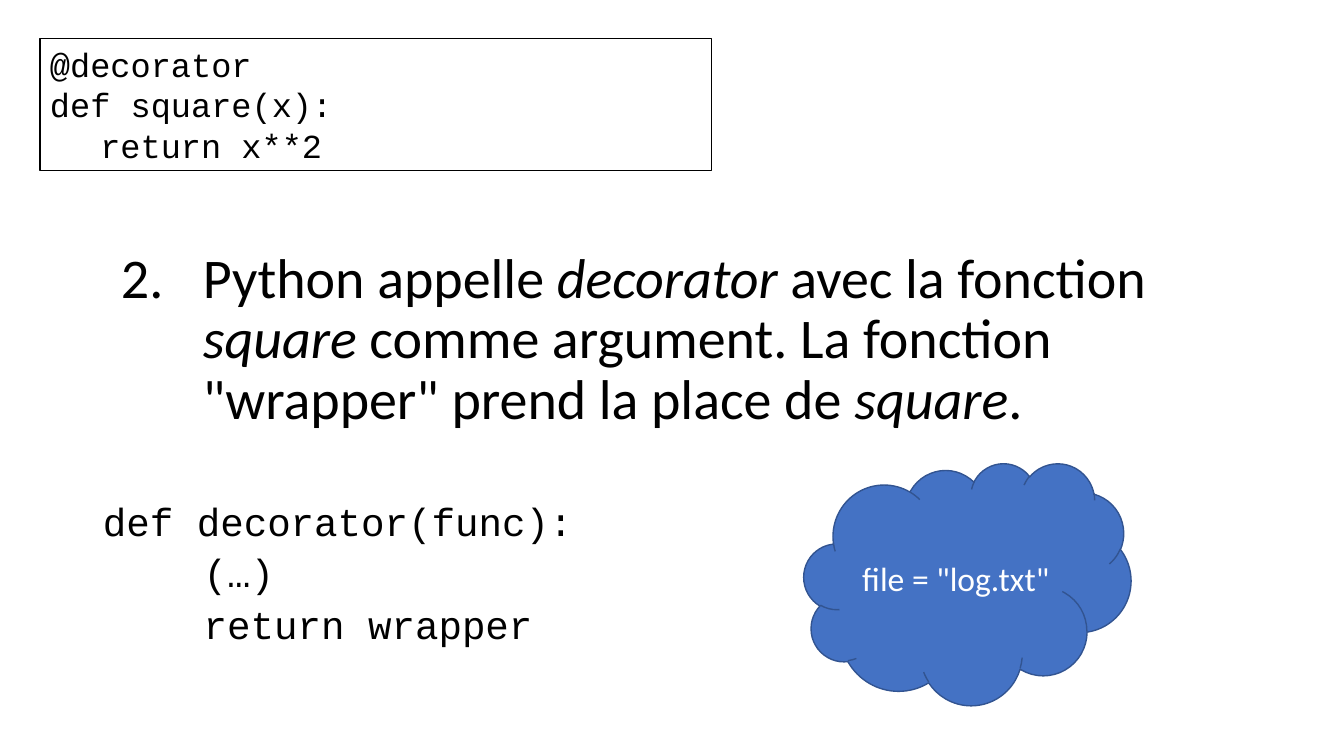
"""Builds the slide explaining how Python calls a decorator."""
from lxml import etree
from pptx import Presentation
from pptx.dml.color import RGBColor
from pptx.enum.shapes import MSO_SHAPE
from pptx.enum.text import MSO_ANCHOR, PP_ALIGN
from pptx.oxml.ns import qn
from pptx.util import Pt

RECTANGLE, CLOUD = MSO_SHAPE.RECTANGLE, MSO_SHAPE.CLOUD
TOP, MIDDLE = MSO_ANCHOR.TOP, MSO_ANCHOR.MIDDLE
LEFT, CENTER = PP_ALIGN.LEFT, PP_ALIGN.CENTER
PX = 914400 / 100.8


def box(*lengths):
    return [round(length * PX) for length in lengths]


def style(frame, font, size, color, align=LEFT, anchor=TOP):
    frame.word_wrap = True
    frame.vertical_anchor = anchor
    for paragraph in frame.paragraphs:
        paragraph.alignment = align
        for run in paragraph.runs:
            run.font.name = font
            run.font.size = Pt(size)
            run.font.color.rgb = RGBColor.from_string(color)


deck = Presentation()
deck.slide_width, deck.slide_height = box(1344, 756)
slide = deck.slides.add_slide(deck.slide_layouts[6])
shapes = slide.shapes

explanation = shapes.add_textbox(*box(111, 245, 1141, 218)).text_frame
step = explanation.paragraphs[0]
phrases = [
    ("Python appelle ", False),
    ("decorator", True),
    (" avec la fonction ", False),
    ("square", True),
    (' comme argument. La fonction "wrapper" prend la place de ', False),
    ("square", True),
    (".", False),
]
for words, italic in phrases:
    phrase = step.add_run()
    phrase.text = words
    phrase.font.italic = italic
style(explanation, "Calibri", 40, "000000")
step.line_spacing = 0.9
step.space_before = Pt(10)
numbering = step._p.get_or_add_pPr()
indent, = box(82)
numbering.set("marL", str(indent))
numbering.set("indent", str(-indent))
etree.SubElement(numbering, qn("a:buFont"), typeface="+mj-lt")
etree.SubElement(numbering, qn("a:buAutoNum"), type="arabicPeriod", startAt="2")

decorated = shapes.add_shape(RECTANGLE, *box(40, 39, 672, 132))
decorated.shadow.inherit = False
decorated.fill.background()
decorated.line.color.rgb = RGBColor.from_string("000000")
decorated.line.width = Pt(0.75)
decorated.text_frame.text = "@decorator\ndef square(x):\n\treturn x**2"
style(decorated.text_frame, "Courier New", 24, "000000")

definition = shapes.add_textbox(*box(93, 501, 1159, 164)).text_frame
definition.text = "def decorator(func):\n\t\t(…)\n\t\treturn wrapper"
style(definition, "Courier New", 28, "000000")
for line in definition.paragraphs:
    line.line_spacing = 0.8
    line.space_before = Pt(10)

closure = shapes.add_shape(CLOUD, *box(804, 463, 327, 242))
closure.shadow.inherit = False
closure.fill.solid()
closure.fill.fore_color.rgb = RGBColor.from_string("4472C4")
closure.line.color.rgb = RGBColor.from_string("325491")
closure.line.width = Pt(1)
closure.text_frame.text = 'file = "log.txt"'
style(closure.text_frame, "Calibri", 24, "FFFFFF", CENTER, MIDDLE)

deck.save("out.pptx")
